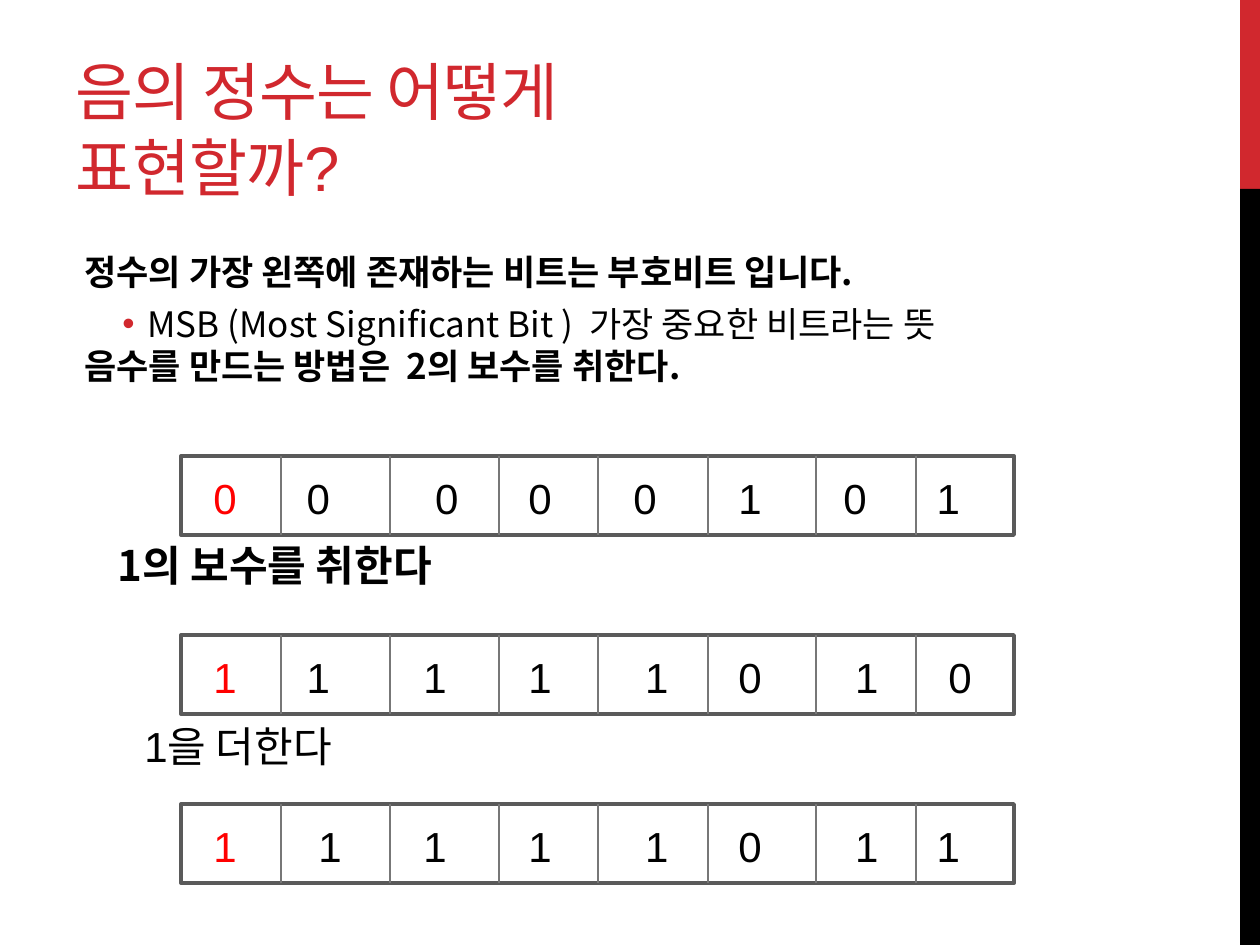
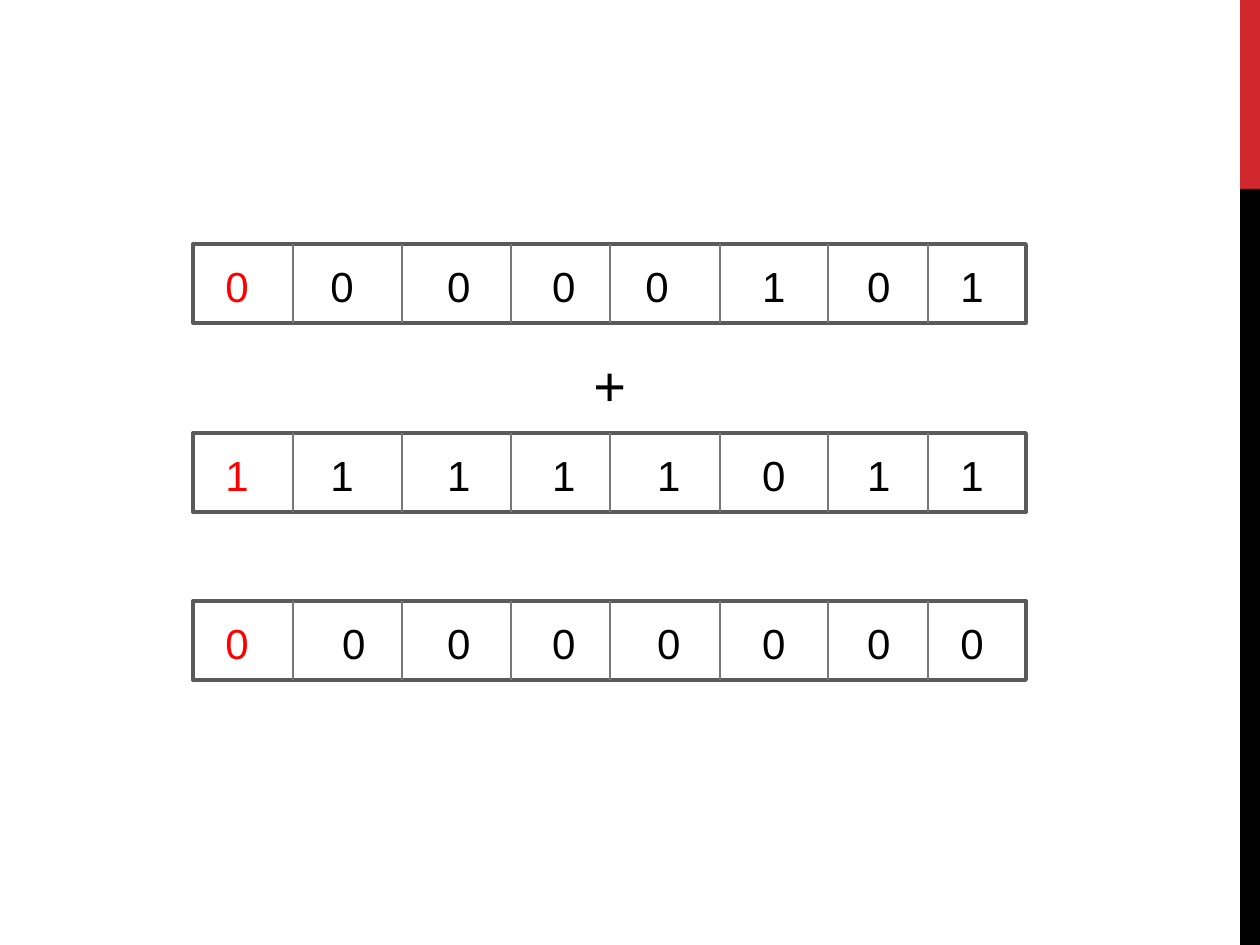
from lxml.etree import SubElement
from pptx import Presentation
from pptx.dml.color import RGBColor
from pptx.enum.shapes import MSO_CONNECTOR, MSO_SHAPE
from pptx.enum.text import MSO_ANCHOR, PP_ALIGN
from pptx.oxml.ns import qn
from pptx.util import Pt

PX = 914400 / 126
COLORS = {"red": "D1282E", "black": "000000", "sign": "FF0000",
          "frame": "5A5A5A", "divider": "777777"}
LATIN, KOREAN = "Arial", "Noto Sans CJK KR"

BAR_WIDTH, BAR_HEIGHT = 833, 79
DIVIDERS = [100, 209, 318, 417, 527, 635, 735]
HALF_DIGIT = 35 / 3  # px, half the width of a 24 pt digit


def px(*lengths):
    return [round(length * PX) for length in lengths]


def add_text(slide, box, lines, size, font=LATIN, bold=False):
    """Add a left-aligned black text box and return its paragraphs."""
    text_frame = slide.shapes.add_textbox(*px(*box)).text_frame
    text_frame.word_wrap = True
    text_frame.text = "\n".join(lines)
    for paragraph in text_frame.paragraphs:
        for run in paragraph.runs:
            run.font.size, run.font.name, run.font.bold = Pt(size), font, bold
            run.font.color.rgb = RGBColor.from_string(COLORS["black"])
            if font == KOREAN:
                SubElement(run.font._element, qn("a:ea"), typeface=font)
    return text_frame.paragraphs


presentation = Presentation()
presentation.slide_width, presentation.slide_height = px(1260, 945)
method_slide = presentation.slides.add_slide(presentation.slide_layouts[5])
sum_slide = presentation.slides.add_slide(presentation.slide_layouts[6])

# Side bands
for slide in (method_slide, sum_slide):
    for top, height, color in [(0, 189, "red"), (189, 756, "black")]:
        band = slide.shapes.add_shape(MSO_SHAPE.RECTANGLE, *px(1240, top, 20, height))
        band.shadow.inherit = False
        band.fill.solid()
        band.fill.fore_color.rgb = RGBColor.from_string(COLORS[color])
        band.line.fill.background()

# Title
title = method_slide.shapes.title
title.left, title.top, title.width, title.height = px(63, 21, 815, 189)
title.text_frame.text = "음의 정수는 어떻게\v표현할까?"
title.text_frame.vertical_anchor = MSO_ANCHOR.BOTTOM
title_paragraph = title.text_frame.paragraphs[0]
title_paragraph.alignment = PP_ALIGN.LEFT
for run in title_paragraph.runs:
    run.font.size, run.font.name = Pt(36), LATIN
    run.font.color.rgb = RGBColor.from_string(COLORS["red"])
    run.font._element.set("spc", "-60")

# Explanation
sign_bit, msb, method = add_text(
    method_slide, (72, 244, 1134, 180),
    ["정수의 가장 왼쪽에 존재하는 비트는 부호비트 입니다.",
     "MSB (Most Significant Bit )  가장 중요한 비트라는 뜻",
     "음수를 만드는 방법은  2의 보수를 취한다."], 20, KOREAN, bold=True)
sign_bit.space_after = Pt(6)
msb.runs[0].font.bold = False
bullet = msb._p.get_or_add_pPr()
margin, hanging = px(63, -25)
bullet.set("marL", str(margin))
bullet.set("indent", str(hanging))
bullet_color = SubElement(bullet, qn("a:buClr"))
SubElement(bullet_color, qn("a:srgbClr"), val=COLORS["red"])
SubElement(bullet, qn("a:buFont"), typeface=LATIN)
SubElement(bullet, qn("a:buChar"), char="•")

# Step labels and the plus sign
add_text(method_slide, (105, 533, 400, 74), ["1의 보수를 취한다"], 24, KOREAN, bold=True)
add_text(method_slide, (132, 714, 260, 63), ["1을 더한다"], 24)
add_text(sum_slide, (581, 344, 80, 81), ["+"], 32)

# Bit rows: slide, left, top, bits, start of each later bit in half digits
bit_rows = [
    (method_slide, 181, 456, "00000101", [8, 19, 27, 36, 45, 54, 62]),
    (method_slide, 181, 635, "11111010", [8, 18, 27, 37, 45, 55, 63]),
    (method_slide, 181, 804, "11111011", [9, 18, 27, 37, 45, 55, 62]),
    (sum_slide, 193, 244, "00000101", [9, 19, 28, 36, 46, 55, 63]),
    (sum_slide, 193, 433, "11111011", [9, 19, 28, 37, 46, 55, 63]),
    (sum_slide, 193, 601, "00000000", [10, 19, 28, 37, 46, 55, 63]),
]
for slide, left, top, bits, starts in bit_rows:
    frame = slide.shapes.add_shape(MSO_SHAPE.RECTANGLE, *px(left, top, BAR_WIDTH, BAR_HEIGHT))
    frame.shadow.inherit = False
    frame.fill.background()
    frame.line.color.rgb = RGBColor.from_string(COLORS["frame"])
    frame.line.width = Pt(2.25)
    for offset in DIVIDERS:
        x = left + offset
        divider = slide.shapes.add_connector(
            MSO_CONNECTOR.STRAIGHT, *px(x, top, x, top + BAR_HEIGHT))
        divider.line.color.rgb = RGBColor.from_string(COLORS["divider"])
        divider.line.width = Pt(1)
        SubElement(divider._element.spPr, qn("a:effectLst"))

    paragraph = add_text(slide, (left + 20, top + 10, 800, 63), [bits[0]], 24)[0]
    sign = paragraph.runs[0]
    sign.font.color.rgb = RGBColor.from_string(COLORS["sign"])
    value = paragraph.add_run()
    value.text = "".join("\t" + bit for bit in bits[1:])
    value.font.size, value.font.name = sign.font.size, LATIN
    value.font.color.rgb = RGBColor.from_string(COLORS["black"])
    tab_list = SubElement(paragraph._p.get_or_add_pPr(), qn("a:tabLst"))
    for position in px(*(start * HALF_DIGIT for start in starts)):
        SubElement(tab_list, qn("a:tab"), pos=str(position), algn="l")

presentation.save("out.pptx")
